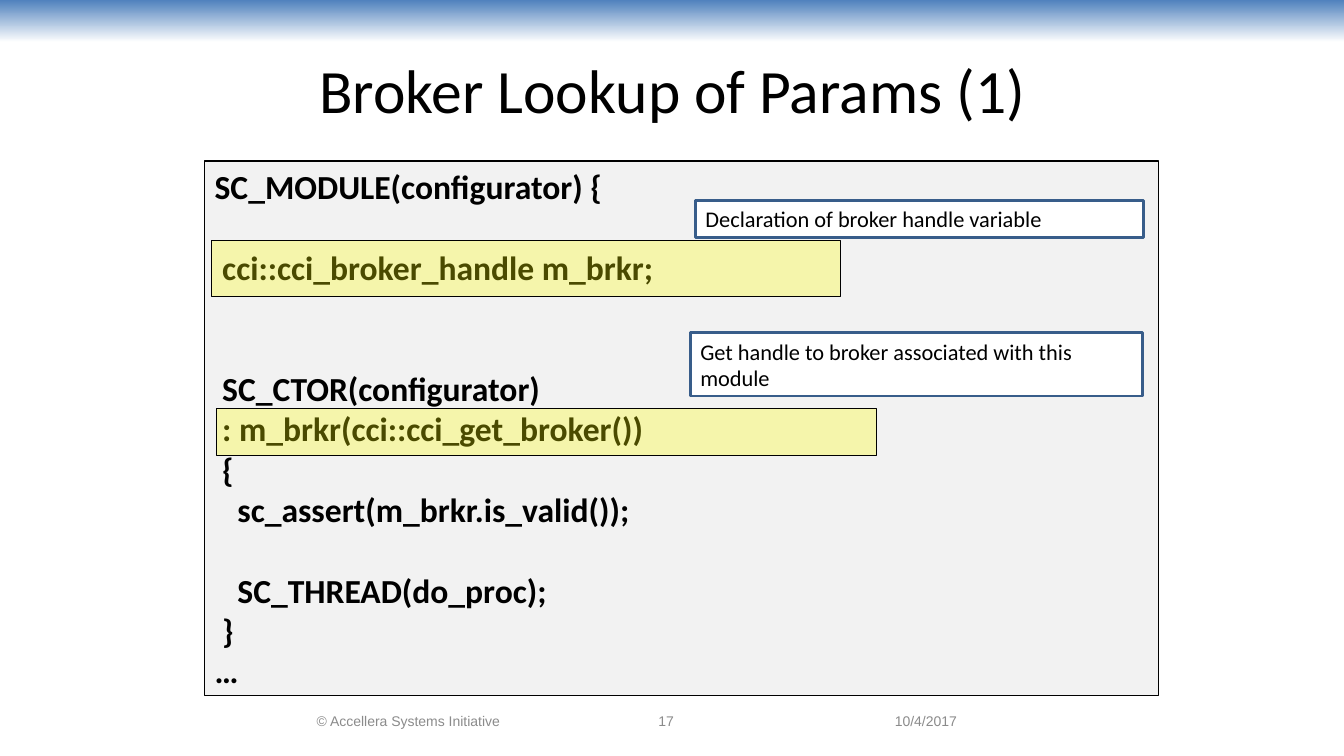
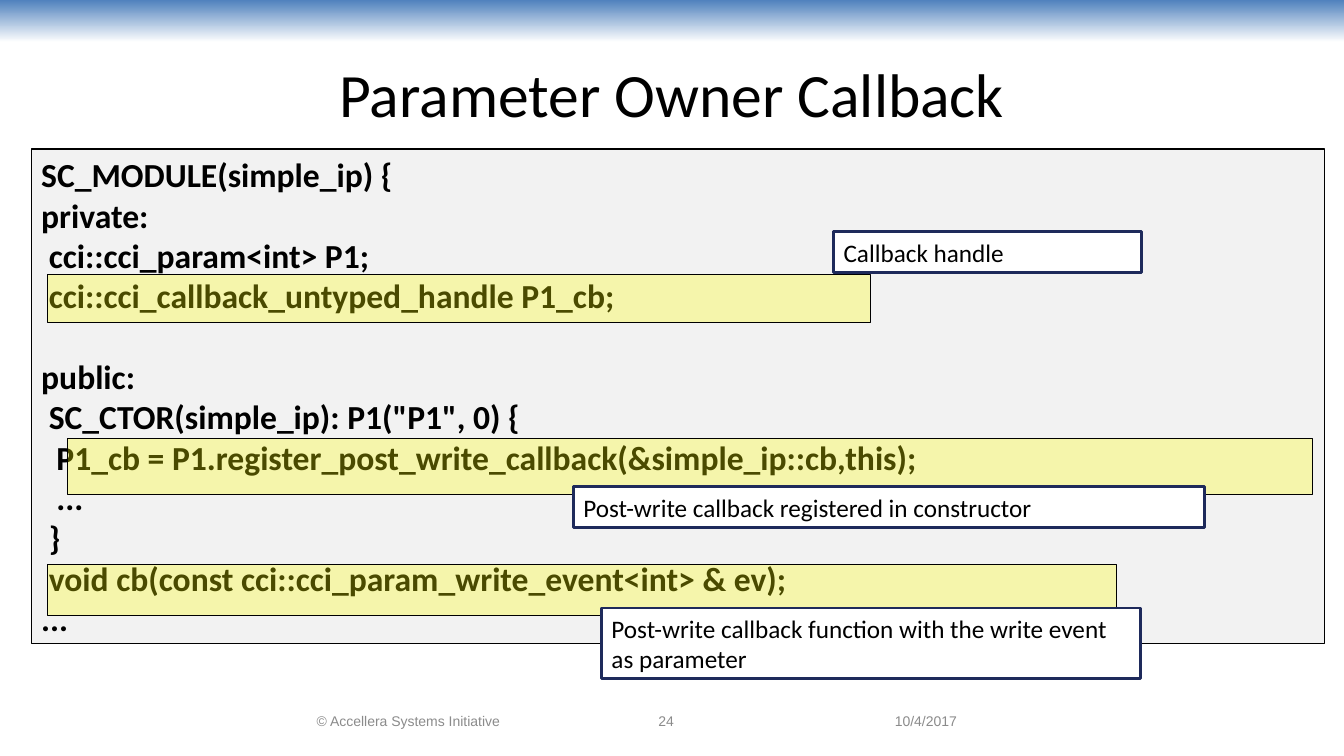
import pptx
import pptx.dml.color
import pptx.enum.shapes
import pptx.enum.text
import pptx.oxml.ns
import pptx.util
from lxml import etree

Cm = pptx.util.Cm
Pt = pptx.util.Pt
RGBColor = pptx.dml.color.RGBColor
RECTANGLE = pptx.enum.shapes.MSO_SHAPE.RECTANGLE
ALIGN = pptx.enum.text.PP_ALIGN
ANCHOR = pptx.enum.text.MSO_ANCHOR
qn = pptx.oxml.ns.qn

BLACK = RGBColor(0x00, 0x00, 0x00)
WHITE = RGBColor(0xFF, 0xFF, 0xFF)
BAND_BLUE = RGBColor(0x4F, 0x81, 0xBD)
CODE_GREY = RGBColor(0xF2, 0xF2, 0xF2)
MARKER_YELLOW = RGBColor(0xFF, 0xFF, 0x00)
STEEL_BLUE = RGBColor(0x38, 0x5D, 0x8A)
NAVY = RGBColor(0x1E, 0x2A, 0x5B)
FOOTER_GREY = RGBColor(0x8B, 0x8B, 0x8B)

SLIDE_WIDTH, SLIDE_HEIGHT = 33.87, 19.05
MARKER_OPACITY = 29
CODE_SIZE = 24

LOOKUP_CODE = """SC_MODULE(configurator) {

 cci::cci_broker_handle m_brkr;


 SC_CTOR(configurator)
 : m_brkr(cci::cci_get_broker())
 {
   sc_assert(m_brkr.is_valid());

   SC_THREAD(do_proc);
 }
…"""

CALLBACK_CODE = """SC_MODULE(simple_ip) {
private:
 cci::cci_param<int> P1;
 cci::cci_callback_untyped_handle P1_cb;

public:
 SC_CTOR(simple_ip): P1("P1", 0) {
  P1_cb = P1.register_post_write_callback(&simple_ip::cb,this);
  ...
 }
 void cb(const cci::cci_param_write_event<int> & ev);
..."""


def write_text(shape, text, size, font="Calibri", color=BLACK, bold=False,
               align=ALIGN.LEFT, anchor=ANCHOR.TOP):
    frame = shape.text_frame
    frame.word_wrap = True
    frame.vertical_anchor = anchor
    frame.margin_left = frame.margin_right = Cm(0.25)
    frame.margin_top = frame.margin_bottom = Cm(0.13)
    frame.text = text
    for para in frame.paragraphs:
        para.alignment = align
        for span in para.runs:
            span.font.name = font
            span.font.size = Pt(size)
            span.font.bold = bold
            span.font.color.rgb = color
        if not para.runs:
            # An empty line takes its height from the end-of-paragraph mark.
            etree.SubElement(para._p, qn("a:endParaRPr"), sz=str(size * 100))


def add_label(page, at, text, size, **style):
    box = page.shapes.add_textbox(*map(Cm, at))
    write_text(box, text, size, anchor=ANCHOR.MIDDLE, **style)


def add_rectangle(page, at, fill, line, line_width):
    box = page.shapes.add_shape(RECTANGLE, *map(Cm, at))
    box.shadow.inherit = False
    box.fill.solid()
    box.fill.fore_color.rgb = fill
    box.line.color.rgb = line
    box.line.width = Pt(line_width)
    return box


def add_code(page, at, code):
    box = add_rectangle(page, at, CODE_GREY, BLACK, 1)
    write_text(box, code, CODE_SIZE, bold=True)


def add_marker(page, at):
    """Lay a see-through yellow bar over a line of code."""
    box = add_rectangle(page, at, MARKER_YELLOW, BLACK, 0.75)
    color = box.fill._xPr.find(qn("a:solidFill")).find(qn("a:srgbClr"))
    etree.SubElement(color, qn("a:alpha"), val=str(MARKER_OPACITY * 1000))


def add_callout(page, at, text, size, line):
    box = add_rectangle(page, at, WHITE, line, 2)
    write_text(box, text, size)


def add_band(page):
    band = page.shapes.add_shape(RECTANGLE, 0, 0, Cm(SLIDE_WIDTH), Cm(1.07))
    band.shadow.inherit = False
    band.line.fill.background()
    band.fill.gradient()
    band.fill.gradient_angle = 270
    for stop, color in zip(band.fill.gradient_stops, (BAND_BLUE, WHITE)):
        stop.color.rgb = color


def add_footer(page, number):
    for left, width, text, align in (
        (6.2, 8.18, "© Accellera Systems Initiative", ALIGN.CENTER),
        (13.54, 6.5, str(number), ALIGN.CENTER),
        (22.3, 3.96, "10/4/2017", ALIGN.LEFT),
    ):
        add_label(page, (left, 17.65, width, 1.02), text, 10,
                  font="Arial", color=FOOTER_GREY, align=align)


def add_code_page(deck, number, title, title_at, code, code_at, markers,
                  callouts, callout_size, callout_line):
    page = deck.slides.add_slide(deck.slide_layouts[6])
    add_band(page)
    add_label(page, title_at, title, 44, align=ALIGN.CENTER)
    add_code(page, code_at, code)
    for at in markers:
        add_marker(page, at)
    for at, text in callouts:
        add_callout(page, at, text, callout_size, callout_line)
    add_footer(page, number)


def main():
    deck = pptx.Presentation()
    deck.slide_width = Cm(SLIDE_WIDTH)
    deck.slide_height = Cm(SLIDE_HEIGHT)
    add_code_page(
        deck, 17, "Broker Lookup of Params (1)", (6.6, 0.66, 20.7, 3.18),
        LOOKUP_CODE, (5.16, 4.06, 24.03, 13.46),
        markers=[(5.33, 6.07, 15.85, 1.4), (5.46, 10.29, 16.64, 1.19)],
        callouts=[
            ((17.4, 8.38, 11.4, 1.6),
             "Get handle to broker associated with this module"),
            ((17.53, 5.05, 11.28, 0.94),
             "Declaration of broker handle variable"),
        ],
        callout_size=16, callout_line=STEEL_BLUE)
    add_code_page(
        deck, 24, "Parameter Owner Callback", (1.7, 0.76, 30.48, 3.18),
        CALLBACK_CODE, (0.79, 3.76, 32.59, 12.45),
        markers=[(1.19, 6.93, 20.75, 1.19), (1.7, 11.05, 31.39, 1.42),
                 (1.19, 14.22, 26.95, 1.3)],
        callouts=[
            ((14.45, 12.27, 15.9, 1.02),
             "Post-write callback registered in constructor"),
            ((15.16, 15.32, 13.59, 1.78),
             "Post-write callback function with the write event as parameter"),
            ((21.01, 5.84, 7.75, 1.02), "Callback handle"),
        ],
        callout_size=18, callout_line=NAVY)
    deck.save("out.pptx")


if __name__ == "__main__":
    main()
